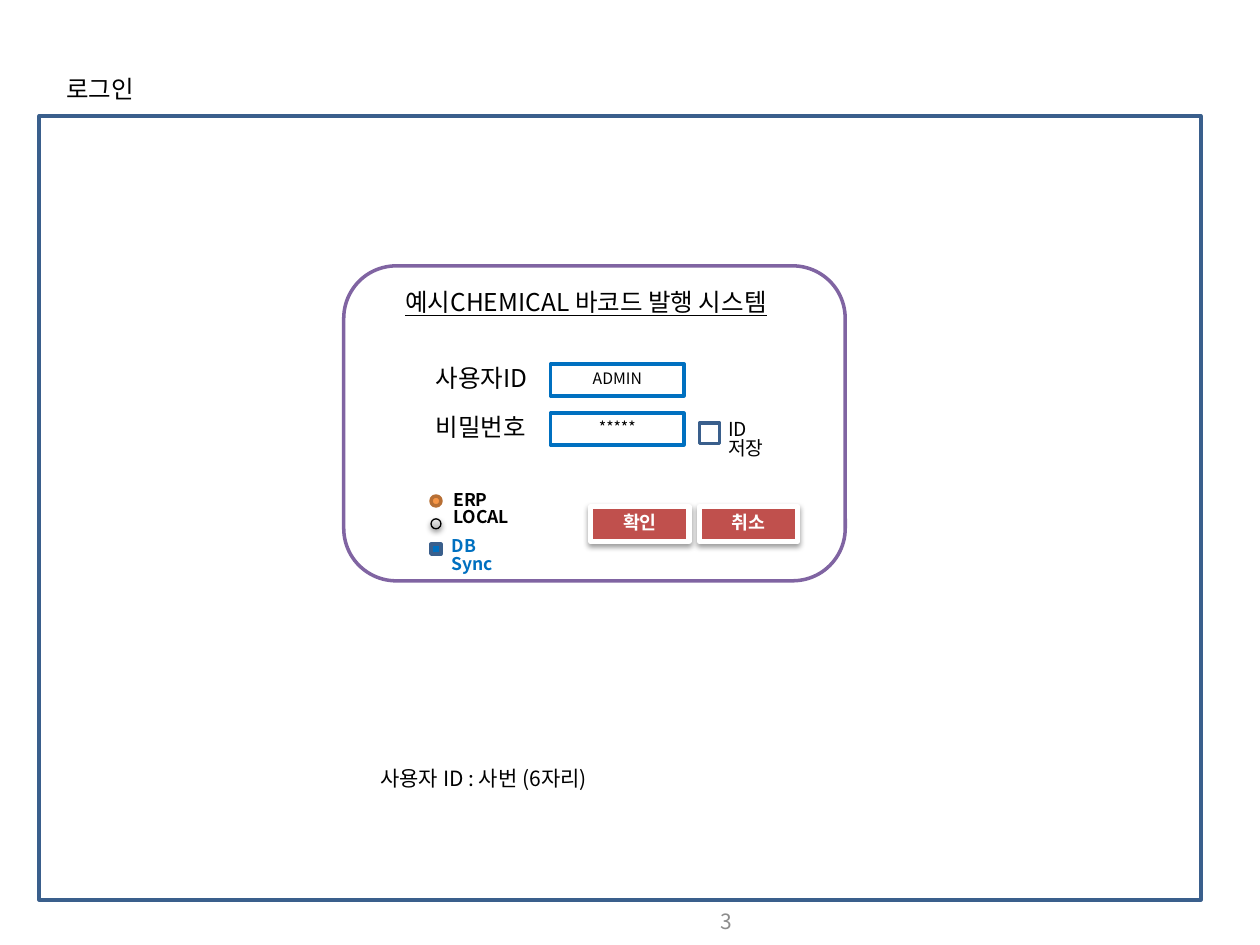
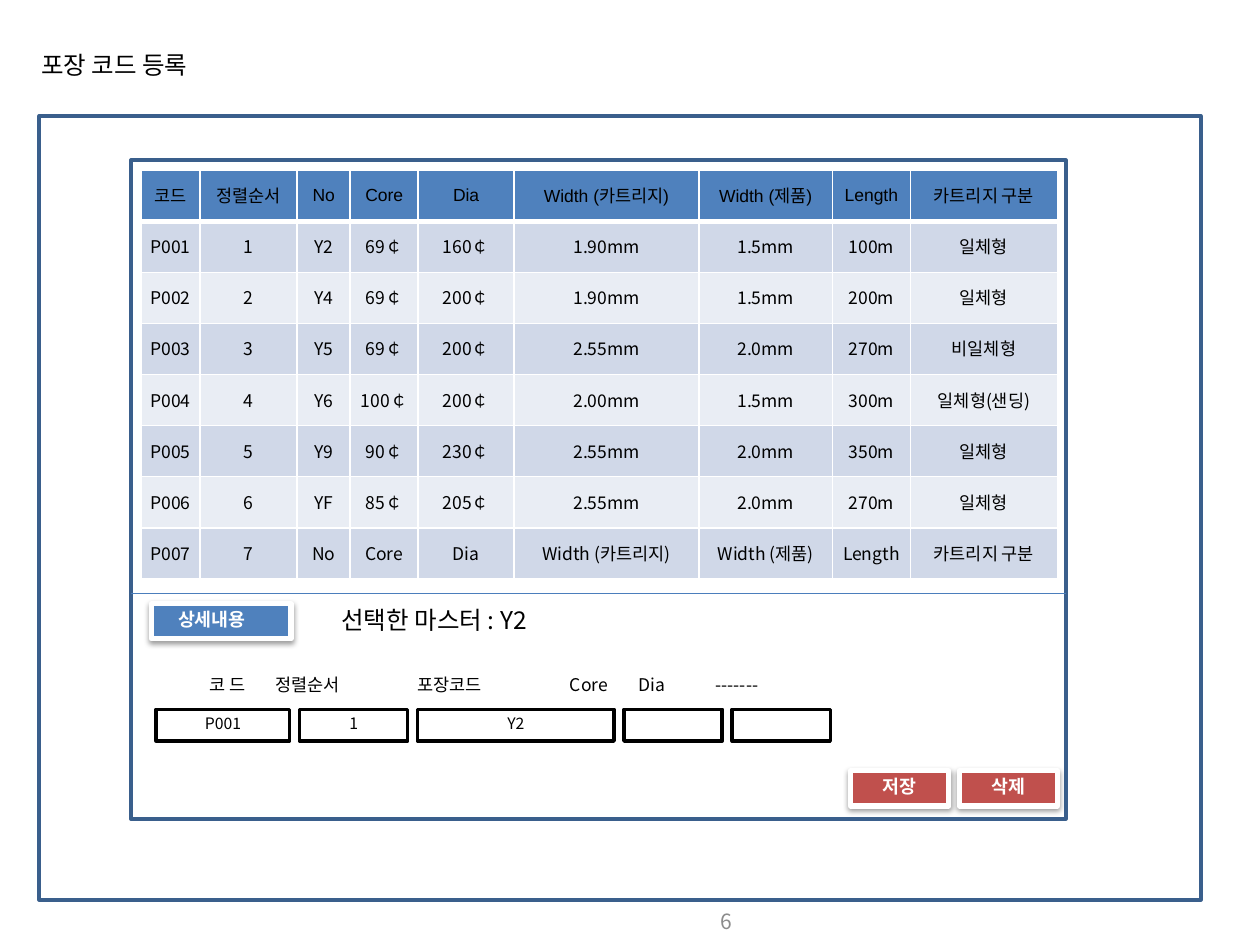
from dataclasses import dataclass
from typing import Optional

from lxml import etree
from pptx import Presentation
from pptx import util as u
from pptx.dml.color import RGBColor
from pptx.enum import shapes, text
from pptx.oxml import parse_xml
from pptx.oxml.ns import nsdecls, qn

COLORS = {
    "frame": "3A5F8C", "dialog": "8064A2", "field": "0070C0", "button": "C0504D",
    "header": "4F81BD", "band_dark": "D0D8E8", "band_light": "E9EDF4",
    "divider": "4B7EBC", "radio": "F79646", "radio_line": "B76F34",
    "grey_dark": "BDBDBD", "grey_light": "EEEEEE", "page": "8C8C8C",
    "black": "000000", "white": "FFFFFF",
}
FONT = "Noto Sans CJK KR"
HEADER_FONT = "Arial"
LINE_SPACING = 0.83
LEFT, CENTER, RIGHT = text.PP_ALIGN.LEFT, text.PP_ALIGN.CENTER, text.PP_ALIGN.RIGHT
RECT = shapes.MSO_SHAPE.RECTANGLE
ROUND = shapes.MSO_SHAPE.ROUNDED_RECTANGLE
DOT = shapes.MSO_SHAPE.FLOWCHART_CONNECTOR


@dataclass
class Style:
    size: float = 14
    color: str = "black"
    bold: bool = False
    underline: bool = False
    align: text.PP_ALIGN = LEFT
    font: str = FONT


@dataclass
class Label:
    """A text box; all lengths in centimetres."""
    content: str
    left: float
    top: float
    width: float
    height: float
    style: Style
    wrap: bool = False


@dataclass
class Box:
    """A preset shape; all lengths in centimetres."""
    left: float
    top: float
    width: float
    height: float
    line: str
    line_width: float = 2
    fill: Optional[str] = None
    kind: shapes.MSO_SHAPE = RECT
    shadow: bool = False


TITLE = Style()
FIELD = Style(size=9, align=CENTER)
BUTTON = Style(size=10.5, color="white", bold=True, align=CENTER)
OPTION = Style(size=10, bold=True)
BUTTON_WIDTH, BUTTON_STEP, BUTTON_HEIGHT = 1.98, 2.19, 0.71
FIELD_HEIGHT = 0.64

COLUMN_WIDTHS = [1.19, 1.96, 1.07, 1.37, 1.93, 3.73, 2.69, 1.57, 2.97]
ROW_HEIGHT = 1.03
COLUMN_NAMES = ["No", "Core", "Dia", "Width (카트리지)", "Width (제품)", "Length", "카트리지 구분"]
PACKAGES = [
    ["Y2", "69￠", "160￠", "1.90mm", "1.5mm", "100m", "일체형"],
    ["Y4", "69￠", "200￠", "1.90mm", "1.5mm", "200m", "일체형"],
    ["Y5", "69￠", "200￠", "2.55mm", "2.0mm", "270m", "비일체형"],
    ["Y6", "100￠", "200￠", "2.00mm", "1.5mm", "300m", "일체형(샌딩)"],
    ["Y9", "90￠", "230￠", "2.55mm", "2.0mm", "350m", "일체형"],
    ["YF", "85￠", "205￠", "2.55mm", "2.0mm", "270m", "일체형"],
    COLUMN_NAMES,
]


def rgb(name: str) -> RGBColor:
    return RGBColor.from_string(COLORS[name])


def format_text(frame, style: Style) -> None:
    for paragraph in frame.paragraphs:
        paragraph.alignment = style.align
        paragraph.line_spacing = LINE_SPACING
        for run in paragraph.runs:
            font = run.font
            font.name, font.size = style.font, u.Pt(style.size)
            font.bold, font.underline = style.bold, style.underline
            font.color.rgb = rgb(style.color)
            east_asian = etree.SubElement(font._element, qn("a:ea"))
            east_asian.set("typeface", FONT)


def add_label(slide, label: Label):
    shape = slide.shapes.add_textbox(*map(u.Cm, (label.left, label.top, label.width, label.height)))
    frame = shape.text_frame
    frame.word_wrap = label.wrap
    frame.text = label.content
    format_text(frame, label.style)
    return shape


def add_box(slide, box: Box, content: str = "", style: Style = FIELD):
    shape = slide.shapes.add_shape(box.kind, *map(u.Cm, (box.left, box.top, box.width, box.height)))
    shape.shadow.inherit = False
    if box.fill:
        shape.fill.solid()
        shape.fill.fore_color.rgb = rgb(box.fill)
    else:
        shape.fill.background()
    shape.line.color.rgb = rgb(box.line)
    shape.line.width = u.Pt(box.line_width)
    if box.shadow:
        effects = shape._element.spPr.find(qn("a:effectLst"))
        effects.append(parse_xml(
            f'<a:outerShdw {nsdecls("a")} blurRad="40000" dist="20000" dir="5400000" rotWithShape="0">'
            f'<a:srgbClr val="{COLORS["black"]}"><a:alpha val="38000"/></a:srgbClr></a:outerShdw>'))
    if content:
        frame = shape.text_frame
        frame.margin_top = frame.margin_bottom = 0
        frame.vertical_anchor = text.MSO_ANCHOR.MIDDLE
        frame.text = content
        format_text(frame, style)
    return shape


def add_buttons(slide, names: list[str], left: float, top: float) -> None:
    for index, name in enumerate(names):
        add_box(slide, Box(left + index * BUTTON_STEP, top, BUTTON_WIDTH, BUTTON_HEIGHT,
                           "white", 3, "button", shadow=True), name, BUTTON)


def start_slide(presentation, title: Label, page: str):
    """Add a slide with the shared frame, title and page number."""
    slide = presentation.slides.add_slide(presentation.slide_layouts[6])
    add_box(slide, Box(0.79, 2.34, 23.42, 15.8, "frame"))
    add_label(slide, title)
    number = add_label(slide, Label(page, 9.09, 18.11, 5.92, 1.02,
                                    Style(size=12, color="page", align=RIGHT), True))
    number.text_frame.vertical_anchor = text.MSO_ANCHOR.MIDDLE
    return slide


def set_borders(cell, bottom_width: float) -> None:
    properties = cell._tc.get_or_add_tcPr()
    for index, side in enumerate(("lnL", "lnR", "lnT", "lnB")):
        width = u.Pt(bottom_width if side == "lnB" else 1)
        properties.insert(index, parse_xml(
            f'<a:{side} {nsdecls("a")} w="{width}"><a:solidFill>'
            f'<a:srgbClr val="{COLORS["white"]}"/></a:solidFill></a:{side}>'))


def add_package_table(slide) -> None:
    rows = [["코드", "정렬순서", *COLUMN_NAMES]]
    rows += [[f"P{number:03}", str(number), *values] for number, values in enumerate(PACKAGES, 1)]
    table = slide.shapes.add_table(
        len(rows), len(COLUMN_WIDTHS), u.Cm(2.84), u.Cm(3.43),
        u.Cm(sum(COLUMN_WIDTHS)), u.Cm(ROW_HEIGHT * len(rows))).table
    for column, width in zip(table.columns, COLUMN_WIDTHS):
        column.width = u.Cm(width)
    for row_index, values in enumerate(rows):
        table.rows[row_index].height = u.Cm(ROW_HEIGHT)
        is_header = row_index == 0
        fill = "header" if is_header else "band_dark" if row_index % 2 else "band_light"
        style = Style(size=10, align=CENTER, font=HEADER_FONT if is_header else FONT)
        for column_index, value in enumerate(values):
            cell = table.cell(row_index, column_index)
            cell.margin_left = cell.margin_right = cell.margin_top = u.Cm(0.03)
            cell.margin_bottom = 0
            cell.vertical_anchor = text.MSO_ANCHOR.MIDDLE
            cell.fill.solid()
            cell.fill.fore_color.rgb = rgb(fill)
            cell.text_frame.text = value
            format_text(cell.text_frame, style)
            set_borders(cell, 3 if is_header else 1)


def build_login(presentation) -> None:
    slide = start_slide(presentation, Label("로그인", 1.09, 1.47, 2.01, 0.86, TITLE), "3")

    # Login dialog
    add_box(slide, Box(6.93, 5.36, 10.11, 6.35, "dialog", kind=ROUND))
    add_label(slide, Label("예시CHEMICAL 바코드 발행 시스템", 7.92, 5.77, 8.43, 0.86,
                           Style(underline=True)))
    for index, (name, value) in enumerate([("사용자ID", "ADMIN"), ("비밀번호", "*****")]):
        offset = index * 0.99
        add_label(slide, Label(name, 8.53, 7.29 + offset, 2.5, 0.86, TITLE))
        add_box(slide, Box(11.1, 7.34 + offset, 2.69, FIELD_HEIGHT, "field", fill="white"), value)
    add_box(slide, Box(14.1, 8.53, 0.41, 0.41, "frame"))
    add_label(slide, Label("ID저장", 14.43, 8.36, 1.5, 0.74, Style(size=11), True))

    # Connection options
    add_label(slide, Label("ERP\nLOCAL", 8.89, 9.8, 1.63, 1.12, OPTION))
    add_label(slide, Label("DB Sync", 8.86, 10.74, 1.9, 0.69,
                           Style(size=10, color="field", bold=True)))
    add_box(slide, Box(8.69, 10.0, 0.2, 0.2, "radio_line", fill="radio", kind=DOT))
    local_dot = add_box(slide, Box(8.69, 10.46, 0.2, 0.2, "black", 0.75, kind=DOT, shadow=True))
    local_dot.fill.gradient()
    local_dot.fill.gradient_angle = 90
    for stop, position, color in zip(local_dot.fill.gradient_stops, (0, 1), ("grey_dark", "grey_light")):
        stop.position, stop.color.rgb = position, rgb(color)
    add_box(slide, Box(8.69, 10.97, 0.2, 0.2, "frame", fill="field"))

    add_buttons(slide, ["확인", "취소"], 11.91, 10.21)
    add_label(slide, Label("사용자 ID : 사번 (6자리)", 7.42, 15.39, 8.94, 0.76,
                           Style(size=12), True))


def build_package_codes(presentation) -> None:
    slide = start_slide(presentation, Label("포장 코드 등록", 0.58, 0.99, 3.86, 0.86, TITLE), "6")

    # Code list
    add_box(slide, Box(2.64, 3.23, 18.85, 13.28, "frame"))
    add_package_table(slide)
    divider = slide.shapes.add_connector(shapes.MSO_CONNECTOR.STRAIGHT,
                                         *map(u.Cm, (2.64, 11.96, 21.49, 11.96)))
    divider.line.color.rgb = rgb("divider")
    divider.line.width = u.Pt(0.75)
    etree.SubElement(divider._element.spPr, qn("a:effectLst"))

    # Details of the selected code
    heading = add_box(slide, Box(3.05, 12.17, 2.82, BUTTON_HEIGHT, "white", 3, "header", shadow=True),
                      "상세내용", Style(size=10.5, color="white", bold=True))
    heading.text_frame.margin_left = u.Cm(0.54)
    add_label(slide, Label("선택한 마스터 : Y2", 6.63, 12.17, 4.7, 0.86, TITLE))

    names = ["코 드", "정렬순서", "포장코드", "Core", "Dia", "-------"]
    captions = add_label(slide, Label("".join(f"\t{name}" for name in names), 3.05, 13.54, 15.47, 0.69,
                                      Style(size=10), True))
    properties = captions.text_frame.paragraphs[0]._p.get_or_add_pPr()
    tabs = etree.SubElement(properties, qn("a:tabLst"))
    for position in (0.93, 2.26, 5.12, 8.19, 9.58, 11.13):
        etree.SubElement(tabs, qn("a:tab"), pos=str(u.Cm(position)), algn="l")

    left = 3.15
    for value, width in [("P001", 2.69), ("1", 2.18), ("Y2", 3.96), ("", 1.98), ("", 1.98)]:
        add_box(slide, Box(left, 14.3, width, FIELD_HEIGHT, "black", fill="white"), value)
        left += width + 0.2
    add_buttons(slide, ["저장", "삭제"], 17.15, 15.54)


def main() -> None:
    presentation = Presentation()
    presentation.slide_width, presentation.slide_height = u.Cm(25.4), u.Cm(19.05)
    build_login(presentation)
    build_package_codes(presentation)
    presentation.save("out.pptx")


if __name__ == "__main__":
    main()
